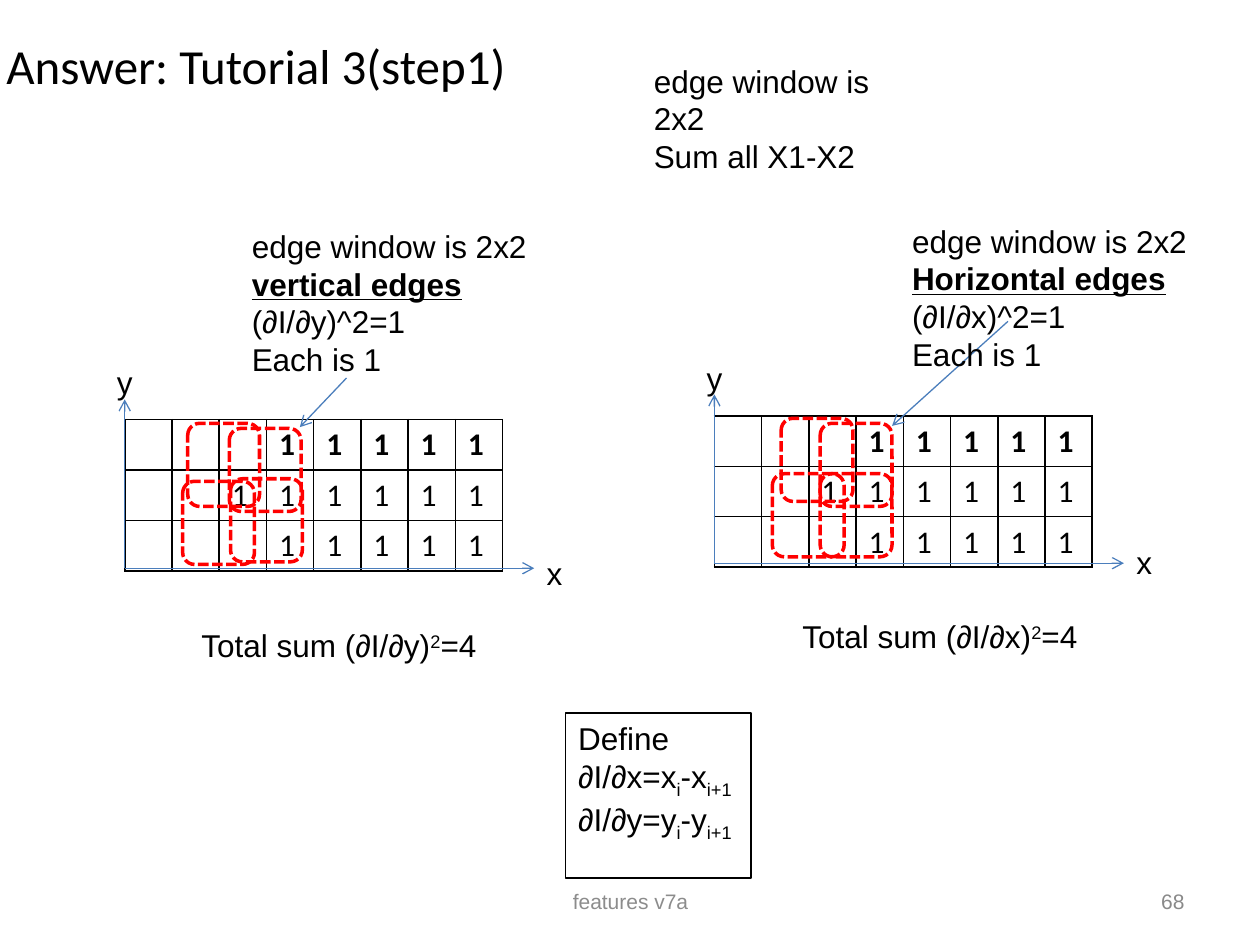
from dataclasses import dataclass

from lxml import etree
from pptx import Presentation
from pptx.dml.color import RGBColor
from pptx.enum import dml, shapes, text
from pptx.oxml import ns
from pptx.util import Inches, Pt


@dataclass(frozen=True)
class Theme:
    ink: RGBColor = RGBColor(0, 0, 0)
    axis: RGBColor = RGBColor(0x4B, 0x7E, 0xBC)
    window: RGBColor = RGBColor(0xFF, 0, 0)
    footer: RGBColor = RGBColor(0x8C, 0x8C, 0x8C)
    number: RGBColor = RGBColor(0x89, 0x89, 0x89)
    title_font: str = "Calibri"
    body_font: str = "Arial"
    title_size: Pt = Pt(28)
    body_size: Pt = Pt(18)
    footer_size: Pt = Pt(12)


theme = Theme()
LEFT, CENTER, RIGHT = text.PP_ALIGN.LEFT, text.PP_ALIGN.CENTER, text.PP_ALIGN.RIGHT
GROW, FIXED = text.MSO_AUTO_SIZE.SHAPE_TO_FIT_TEXT, text.MSO_AUTO_SIZE.NONE


def write(frame, lines, font=theme.body_font, size=theme.body_size,
          color=theme.ink, align=LEFT):
    """Each line is a list of (words, style); style is "", "heading", "bold", "sup" or "sub"."""
    for index, line in enumerate(lines):
        para = frame.paragraphs[0] if index == 0 else frame.add_paragraph()
        para.alignment = align
        for words, style in line:
            span = para.add_run()
            span.text = words
            span.font.name, span.font.size = font, size
            span.font.color.rgb = color
            span.font.bold = style in ("heading", "bold")
            span.font.underline = style == "heading"
            if style in ("sup", "sub"):
                baseline = "30000" if style == "sup" else "-25000"
                span._r.get_or_add_rPr().set("baseline", baseline)


def add_arrow(page, start, end):
    arrow = page.shapes.add_connector(
        shapes.MSO_CONNECTOR.STRAIGHT, *map(Inches, start + end))
    arrow.line.color.rgb = theme.axis
    arrow.line.width = Pt(0.75)
    line = arrow.line._get_or_add_ln()
    etree.SubElement(line, ns.qn("a:tailEnd"), type="arrow")
    etree.SubElement(arrow._element.spPr, ns.qn("a:effectLst"))


deck = Presentation()
deck.slide_width, deck.slide_height = Inches(10), Inches(7.5)
page = deck.slides.add_slide(deck.slide_layouts[5])

# Title
title = page.shapes.title
title.left, title.top = Inches(-0.05), Inches(0.29)
title.width, title.height = Inches(9), Inches(0.45)
title.text_frame.auto_size = FIXED
title.text_frame.vertical_anchor = text.MSO_ANCHOR.MIDDLE
write(title.text_frame, [[("Answer: Tutorial 3(step1)", "")]],
      theme.title_font, theme.title_size)

# Footer and slide number
for left, width, words, color, align in [
    (3.42, 3.17, "features v7a", theme.footer, CENTER),
    (7.17, 2.33, "68", theme.number, RIGHT),
]:
    box = page.shapes.add_textbox(Inches(left), Inches(6.95), Inches(width), Inches(0.4))
    box.text_frame.word_wrap = True
    box.text_frame.vertical_anchor = text.MSO_ANCHOR.MIDDLE
    write(box.text_frame, [[(words, "")]], size=theme.footer_size, color=color, align=align)

# The two edge panels: pixel grid, axes, 2x2 windows and a pointer
COLUMNS, ROWS, CELL_HEIGHT = 8, 3, 0.4
FIRST_ONE = [3, 2, 3]  # column where the ones begin in each row
panels = [
    dict(grid=(5.67, 3.3), origin=(5.67, 4.47), pointer=((8, 2.55), (7.08, 3.38)),
         windows=[(6.13, 3.76), (6.2, 3.32), (6.51, 3.36), (6.51, 3.76)]),
    dict(grid=(0.99, 3.33), origin=(0.99, 4.51), pointer=((2.75, 3), (2.38, 3.39)),
         windows=[(1.45, 3.82), (1.49, 3.36), (1.82, 3.4), (1.83, 3.8)]),
]
for panel in panels:
    left, top = map(Inches, panel["grid"])
    grid = page.shapes.add_table(
        ROWS, COLUMNS, left, top, Inches(3), Inches(ROWS * CELL_HEIGHT)).table
    grid.first_row = grid.horz_banding = False
    for row in range(ROWS):
        grid.rows[row].height = Inches(CELL_HEIGHT)
        for column in range(COLUMNS):
            cell = grid.cell(row, column)
            if column >= FIRST_ONE[row]:
                write(cell.text_frame, [[("1", "bold" if row == 0 else "")]],
                      theme.title_font)
            properties = cell._tc.get_or_add_tcPr()
            for side in ("lnL", "lnR", "lnT", "lnB"):
                border = etree.SubElement(properties, ns.qn(f"a:{side}"), w=str(Pt(1)))
                fill = etree.SubElement(border, ns.qn("a:solidFill"))
                etree.SubElement(fill, ns.qn("a:srgbClr"), val=str(theme.ink))
            cell.fill.background()

    x, y = panel["origin"]
    add_arrow(page, (x, y), (x + 3.25, y))
    add_arrow(page, (x, y), (x, y - 1.34))
    add_arrow(page, *panel["pointer"])

    for left, top in panel["windows"]:
        window = page.shapes.add_shape(
            shapes.MSO_SHAPE.ROUNDED_RECTANGLE,
            Inches(left), Inches(top), Inches(0.57), Inches(0.66))
        window.shadow.inherit = False
        window.fill.background()
        window.line.color.rgb = theme.window
        window.line.width = Pt(2)
        window.line.dash_style = dml.MSO_LINE.SQUARE_DOT
        # SQUARE_DOT is sysDot in the file; the windows use short dashes
        window.line._get_or_add_ln().find(ns.qn("a:prstDash")).set("val", "sysDash")

# Axis names, notes and sums
notes = [
    ((5.51, 2.8, 0.33, 0.4), False, [[("y", "")]]),
    ((8.92, 4.26, 0.33, 0.4), False, [[("x", "")]]),
    ((0.83, 2.83, 0.33, 0.4), False, [[("y", "")]]),
    ((4.24, 4.35, 0.33, 0.4), False, [[("x", "")]]),
    ((5.09, 0.44, 2.08, 1.31), True,
     [[("edge window is 2x2", "")], [("Sum all X1-X2", "")]]),
]
for name, axis, note_at, sum_at in [
    ("Horizontal", "x", (7.14, 1.71, 2.4, 1.31), (6.27, 4.85, 2.46, 0.4)),
    ("vertical", "y", (1.9, 1.75, 2.43, 1.31), (1.5, 4.92, 2.42, 0.4)),
]:
    notes.append((note_at, False, [
        [("edge window is 2x2", "")], [(f"{name} edges", "heading")],
        [(f"(∂I/∂{axis})^2=1", "")], [("Each is 1", "")]]))
    notes.append((sum_at, False, [
        [(f"Total sum (∂I/∂{axis})", ""), ("2", "sup"), ("=4", "")]]))
for place, wrap, lines in notes:
    box = page.shapes.add_textbox(*map(Inches, place))
    box.text_frame.word_wrap = wrap
    box.text_frame.auto_size = GROW
    write(box.text_frame, lines)

# Definition box
define = page.shapes.add_shape(
    shapes.MSO_SHAPE.RECTANGLE, Inches(4.49), Inches(5.66), Inches(1.47), Inches(1.31))
define.shadow.inherit = False
define.fill.background()
define.line.color.rgb = theme.ink
define.line.width = Pt(0.75)
define.text_frame.word_wrap = False
define.text_frame.auto_size = FIXED
define.text_frame.vertical_anchor = text.MSO_ANCHOR.TOP
write(define.text_frame, [[("Define", "")]] + [
    [(f"∂I/∂{axis}={axis}", ""), ("i", "sub"), (f"-{axis}", ""), ("i+1", "sub")]
    for axis in "xy"])

deck.save("out.pptx")
